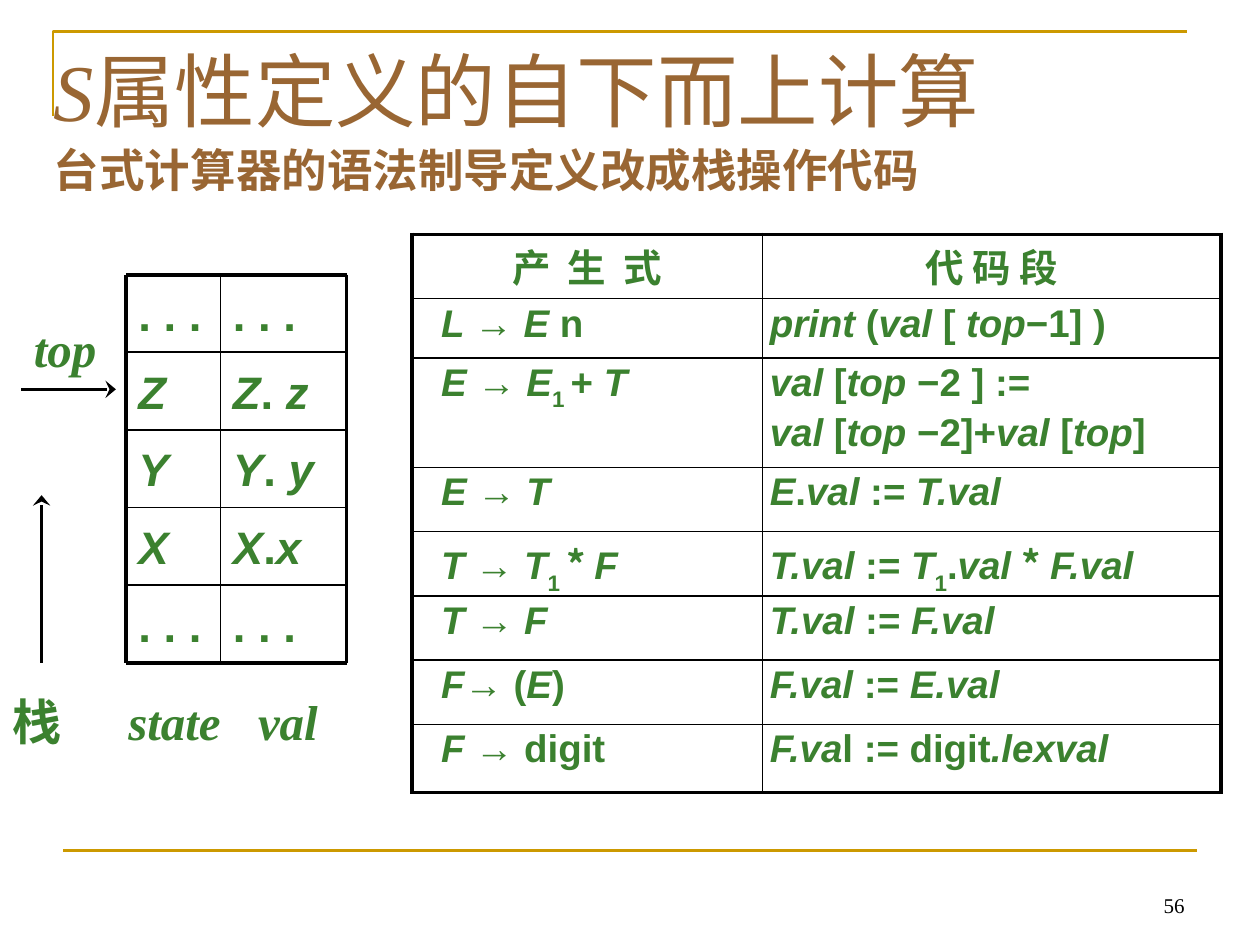
from lxml.etree import SubElement
from pptx import Presentation
from pptx.dml.color import RGBColor
from pptx.enum.shapes import MSO_CONNECTOR
from pptx.enum.text import MSO_ANCHOR, PP_ALIGN
from pptx.oxml.ns import qn
from pptx.util import Inches, Pt

GREEN, BROWN, GOLD, BLACK = "3B812F", "996633", "CC9900", "000000"
ARIAL, TIMES, CJK = "Arial", "Times New Roman", "Noto Sans CJK SC"
THICK, THIN = 2.25, 1

# Run styles: i italic, s subscript, c CJK font, w wide letter spacing
ARROW = ("→ ", "")
GETS = (" := ", "")
RULES = [
    ([[("产 生 式", "cw")]], [[("代 码 段", "c")]]),
    ([[("L ", "i"), ARROW, ("E ", "i"), ("n", "")]],
     [[("print ", "i"), ("(", ""), ("val", "i"), (" [ ", ""), ("top", "i"),
       ("−1] )", "")]]),
    ([[("E ", "i"), ARROW, ("E", "i"), ("1 ", "s"), ("+ ", ""), ("T", "i")]],
     [[("val", "i"), (" [", ""), ("top ", "i"), ("−2 ] :=", "")],
      [("val", "i"), (" [", ""), ("top ", "i"), ("−2]+", ""), ("val", "i"),
       (" [", ""), ("top", "i"), ("]", "")]]),
    ([[("E ", "i"), ARROW, ("T", "i")]],
     [[("E", "i"), (".", ""), ("val", "i"), GETS, ("T.val", "i")]]),
    ([[("T ", "i"), ARROW, ("T", "i"), ("1 ", "s"), ("* ", "c"), ("F", "i")]],
     [[("T.val", "i"), GETS, ("T", "i"), ("1", "s"), (".", ""), ("val ", "i"),
       ("* ", "c"), ("F.val", "i")]]),
    ([[("T ", "i"), ARROW, ("F", "i")]],
     [[("T.val", "i"), GETS, ("F.val", "i")]]),
    ([[("F", "i"), ("→ (", ""), ("E", "i"), (")", "")]],
     [[("F.val", "i"), GETS, ("E.val", "i")]]),
    ([[("F ", "i"), ("→ digit", "")]],
     [[("F.va", "i"), ("l := digit", ""), (".lexval", "i")]]),
]
DOTS = [(". . .", "")]
STACK = [
    (DOTS, DOTS),
    ([("Z", "i")], [("Z", "i"), (". ", ""), ("z", "i")]),
    ([("Y", "i")], [("Y", "i"), (". ", ""), ("y", "i")]),
    ([("X", "i")], [("X", "i"), (".", ""), ("x", "i")]),
    (DOTS, DOTS),
]


def paint(color):
    return RGBColor.from_string(color)


def add_runs(para, runs, size, face, color, bold=True):
    for text, style in runs:
        run = para.add_run()
        run.text = text
        font = run.font
        font.size, font.bold, font.italic = Pt(size), bold, "i" in style
        font.name = CJK if "c" in style else face
        font.color.rgb = paint(color)
        props = font._element
        if "s" in style:
            props.set("baseline", "-30000")
        if "w" in style:
            props.set("spc", "240")
        if any("\u4e00" <= char <= "\u9fff" for char in text):
            east = SubElement(props, qn("a:ea"))
            east.set("typeface", CJK)


def add_text(slide, box, runs, size, face, color, bold=True,
             anchor=MSO_ANCHOR.TOP, align=PP_ALIGN.LEFT, top=0.05, tabs=()):
    frame = slide.shapes.add_textbox(*map(Inches, box)).text_frame
    frame.word_wrap = True
    frame.vertical_anchor = anchor
    frame.margin_top = Inches(top)
    para = frame.paragraphs[0]
    para.alignment = align
    if tabs:
        stops = SubElement(para._p.get_or_add_pPr(), qn("a:tabLst"))
        for place in tabs:
            stop = SubElement(stops, qn("a:tab"))
            stop.set("pos", str(Inches(place)))
            stop.set("algn", "l")
    add_runs(para, runs, size, face, color, bold)


def add_line(slide, start, end, width, color=BLACK, arrow=False):
    line = slide.shapes.add_connector(
        MSO_CONNECTOR.STRAIGHT, *map(Inches, (*start, *end)))
    line.line.width = Pt(width)
    line.line.color.rgb = paint(color)
    if arrow:
        head = SubElement(line.line._get_or_add_ln(), qn("a:tailEnd"))
        head.set("type", "stealth")
        head.set("w", "lg")
    SubElement(line._element.spPr, qn("a:effectLst"))


def add_frame(slide):
    """Draw the gold corner and the gold foot line."""
    build = slide.shapes.build_freeform(
        Inches(0.42), Inches(0.92), scale=1.0)
    build.add_line_segments(
        [(Inches(0.42), Inches(0.25)), (Inches(9.42), Inches(0.25))],
        close=False)
    edge = build.convert_to_shape()
    edge.shadow.inherit = False
    edge.fill.background()
    edge.line.color.rgb = paint(GOLD)
    edge.line.width = Pt(1.5)
    add_line(slide, (0.5, 6.75), (9.5, 6.75), 1.5, GOLD)


def set_edges(cell, widths):
    props = cell._tc.get_or_add_tcPr()
    for side, width in zip("LRTB", widths):
        edge = SubElement(props, qn(f"a:ln{side}"))
        edge.set("w", str(Pt(width)))
        fill = SubElement(edge, qn("a:solidFill"))
        SubElement(fill, qn("a:srgbClr")).set("val", BLACK)


def fill_cell(cell, lines, inset, head):
    cell.margin_left = Inches(inset)
    cell.margin_right = Inches(0.06)
    cell.margin_top = cell.margin_bottom = Inches(0.03)
    frame = cell.text_frame
    for index, runs in enumerate(lines):
        para = frame.add_paragraph() if index else frame.paragraphs[0]
        para.alignment = PP_ALIGN.CENTER if head else PP_ALIGN.LEFT
        if index:
            para.space_before = Pt(4)
        add_runs(para, runs, 22, ARIAL, GREEN)


def add_rules(slide):
    heights = [0.51, 0.47, 0.87, 0.51, 0.51, 0.51, 0.51, 0.54]
    last = len(RULES) - 1
    table = slide.shapes.add_table(
        len(RULES), 2, Inches(3.27), Inches(1.86), Inches(6.42),
        Inches(sum(heights))).table
    table.first_row = table.horz_banding = False
    for col, width in zip(table.columns, (2.78, 3.64)):
        col.width = Inches(width)
    for r, (pair, height) in enumerate(zip(RULES, heights)):
        table.rows[r].height = Inches(height)
        for c, lines in enumerate(pair):
            cell = table.cell(r, c)
            fill_cell(cell, lines, 0.23 if r and c == 0 else 0.06, r == 0)
            outer = (c == 0, c == 1, r == 0, r == last)
            set_edges(cell, [THICK if out else THIN for out in outer])
            cell.fill.background()


def add_stack(slide):
    left, split, right, top, bottom = 1, 1.75, 2.75, 2.18, 5.26
    count = len(STACK)
    step = (bottom - top) / count
    for r, (state, value) in enumerate(STACK):
        y = top + r * step
        add_text(slide, (left, y, split - left, step), state, 26, ARIAL,
                 GREEN, top=0.09)
        add_text(slide, (split, y, right - split, step), value, 26, ARIAL,
                 GREEN, top=0.09)
    for r in range(count + 1):
        y = top + r * step
        add_line(slide, (left, y), (right, y),
                 THICK if r in (0, count) else THIN)
    for x in (left, split, right):
        add_line(slide, (x, top), (x, bottom), THIN if x == split else THICK)

    add_text(slide, (0, 5.43, 2.83, 0.58),
             [("栈", ""), ("\tstate\tval", "i")], 28, TIMES, GREEN,
             anchor=MSO_ANCHOR.MIDDLE, tabs=(0.92, 1.95))
    add_text(slide, (0.17, 2.51, 0.75, 0.5), [("top", "i")], 28, TIMES,
             GREEN, anchor=MSO_ANCHOR.MIDDLE)
    add_line(slide, (0.17, 3.09), (0.92, 3.09), 2, arrow=True)
    add_line(slide, (0.33, bottom), (0.33, 3.93), 2, arrow=True)


def main():
    deck = Presentation()
    deck.slide_width, deck.slide_height = Inches(10), Inches(7.5)
    slide = deck.slides.add_slide(deck.slide_layouts[6])
    add_frame(slide)
    add_text(slide, (0.33, 0.25, 9.17, 0.92),
             [("S", "i"), ("属性定义的自下而上计算", "")], 46, TIMES, BROWN,
             bold=False, anchor=MSO_ANCHOR.MIDDLE)
    add_text(slide, (0.33, 1.08, 9.42, 0.62),
             [("台式计算器的语法制导定义改成栈操作代码", "c")], 26, CJK, BROWN)
    add_rules(slide)
    add_stack(slide)
    add_text(slide, (7.17, 6.83, 2.33, 0.5), [("56", "")], 12, TIMES, BLACK,
             bold=False, anchor=MSO_ANCHOR.BOTTOM, align=PP_ALIGN.RIGHT)
    deck.save("out.pptx")


if __name__ == "__main__":
    main()
